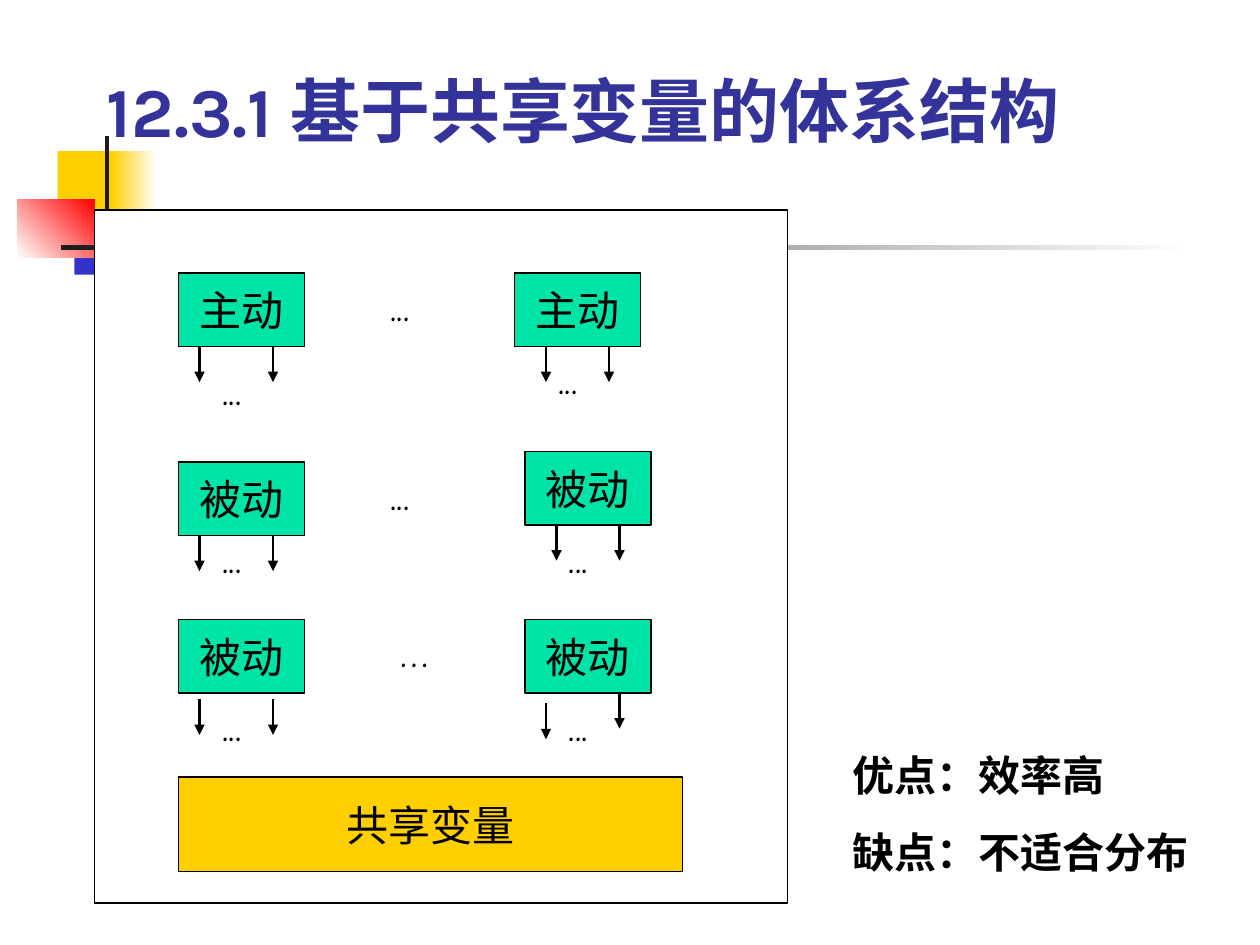
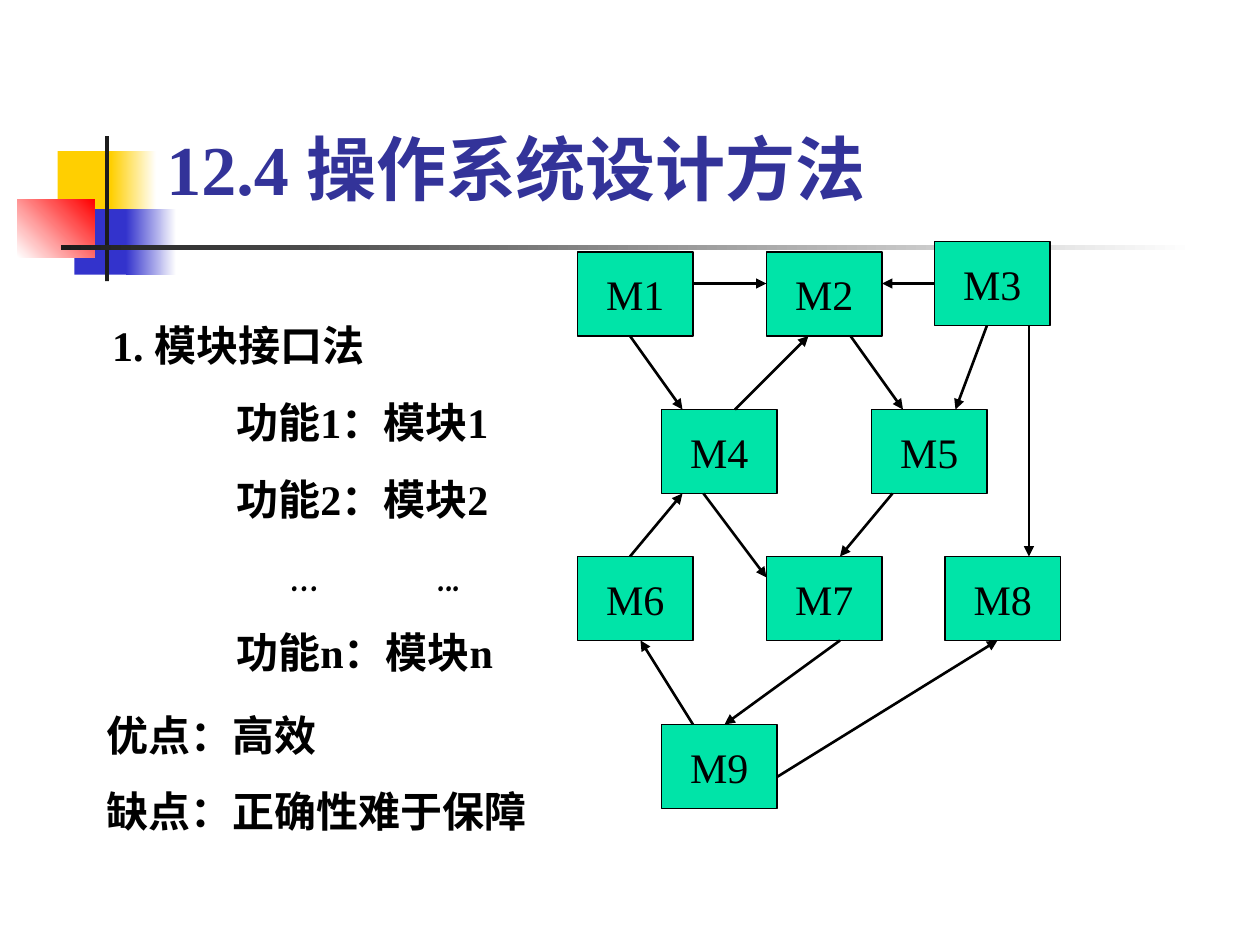
from dataclasses import dataclass

from lxml.etree import SubElement
from pptx import Presentation
from pptx.dml.color import RGBColor
from pptx.enum.shapes import MSO_CONNECTOR, MSO_SHAPE
from pptx.enum.text import MSO_ANCHOR, PP_ALIGN
from pptx.oxml.ns import qn
from pptx.shapes.autoshape import Shape
from pptx.slide import Slide
from pptx.text.text import TextFrame, _Paragraph
from pptx.util import Pt

COLORS = {
    "title": "333399", "ink": "000000", "paper": "FFFFFF", "bar": "1C1C1C",
    "yellow": "FFCF01", "blue": "3333CC", "red": "FF0000", "green": "00E4A8",
}
SERIF, SANS, COMIC = "Times New Roman", "Karla", "Comic Neue"
TITLE_SIZE, BODY_SIZE = 40, 24
LINE_GAP = 15
ARROW_LENGTH = 20.4
TASK_SIZE = (72, 42)
MODULE_SIZE = (66, 48)

Point = tuple[float, float]


@dataclass(frozen=True)
class Area:
    left: float
    top: float
    width: float
    height: float

    def lengths(self) -> list[Pt]:
        return [Pt(value) for value in (self.left, self.top, self.width, self.height)]


@dataclass(frozen=True)
class Ornament:
    area: Area
    start: str
    end: str = ""
    angle: float = 0


@dataclass(frozen=True)
class Task:
    label: str
    corner: Point
    arrow_starts: tuple[Point, Point]
    dots: Point


@dataclass(frozen=True)
class Line:
    text: str
    font: str = SERIF
    indent: float = 0
    tabs: tuple[float, ...] = ()


ORNAMENTS = (
    Ornament(Area(33, 86.4, 34.6, 37.4), "yellow"),
    Ornament(Area(63.4, 86.4, 25.9, 37.4), "yellow", "paper"),
    Ornament(Area(42.5, 119.5, 33.1, 37.4), "blue"),
    Ornament(Area(72, 119.5, 28.8, 37.4), "blue", "paper"),
    Ornament(Area(10, 113.8, 44, 33.1), "paper", "red", 45),
    Ornament(Area(60, 77.8, 2.3, 82.8), "bar"),
    Ornament(Area(34.8, 140.2, 648, 2.5), "bar", "paper"),
)

TASKS = (
    Task("主动", (102, 156), ((114, 198), (156, 198)), (120, 204)),
    Task("主动", (294, 156), ((312, 198), (348, 198)), (312, 198)),
    Task("被动", (102, 264), ((114, 306), (156, 306)), (120, 300)),
    Task("被动", (300, 258), ((318, 300), (354, 300)), (318, 300)),
    Task("被动", (102, 354), ((114, 399.6), (156, 399.6)), (120, 396)),
    Task("被动", (300, 354), ((312, 402), (354, 396)), (318, 396)),
)
ROW_DOTS = (("...", (216, 156)), ("...", (216, 264)), ("…", (222, 354)))

MODULES = {
    "M1": (330, 144), "M2": (438, 144), "M3": (534, 138),
    "M4": (378, 234), "M5": (498, 234),
    "M6": (330, 318), "M7": (438, 318), "M8": (540, 318),
    "M9": (378, 414),
}
CALLS = (
    ((396, 162), (438, 162)),  # M1 to M2
    ((534, 162), (504, 162)),  # M3 to M2
    ((360, 192), (390, 234)),  # M1 to M4
    ((420, 234), (462, 192)),  # M4 to M2
    ((486, 192), (516, 234)),  # M2 to M5
    ((564, 186), (546, 234)),  # M3 to M5
    ((588, 186), (588, 318)),  # M3 to M8
    ((360, 318), (390, 282)),  # M6 to M4
    ((402, 282), (438, 330)),  # M4 to M7
    ((510, 282), (480, 318)),  # M5 to M7
    ((480, 366), (414, 414)),  # M7 to M9
    ((396, 414), (366, 366)),  # M9 to M6
    ((444, 444), (570, 366)),  # M9 to M8
)


def color(name: str) -> RGBColor:
    return RGBColor.from_string(COLORS[name])


def add_span(para: _Paragraph, text: str, font: str = SERIF, size: float = BODY_SIZE,
             ink: str = "ink", bold: bool = False) -> None:
    span = para.add_run()
    span.text = text
    span.font.name = font
    span.font.size = Pt(size)
    span.font.bold = bold
    span.font.color.rgb = color(ink)


def add_rectangle(page: Slide, area: Area, fill: str, outlined: bool = True) -> Shape:
    box = page.shapes.add_shape(MSO_SHAPE.RECTANGLE, *area.lengths())
    box.shadow.inherit = False
    box.fill.solid()
    box.fill.fore_color.rgb = color(fill)
    if outlined:
        box.line.color.rgb = color("ink")
        box.line.width = Pt(0.75)
    else:
        box.line.fill.background()
    return box


def add_labelled_box(page: Slide, area: Area, label: str, fill: str = "green") -> None:
    box = add_rectangle(page, area, fill)
    box.text_frame.vertical_anchor = MSO_ANCHOR.MIDDLE
    para = box.text_frame.paragraphs[0]
    para.alignment = PP_ALIGN.CENTER
    add_span(para, label)


def add_text_frame(page: Slide, area: Area) -> TextFrame:
    frame = page.shapes.add_textbox(*area.lengths()).text_frame
    frame.word_wrap = True
    return frame


def add_dots(page: Slide, corner: Point, text: str = "...") -> None:
    frame = add_text_frame(page, Area(*corner, 54, 36))
    add_span(frame.paragraphs[0], text, COMIC)


def add_bold_lines(page: Slide, area: Area, lines: tuple[Line, ...]) -> None:
    frame = add_text_frame(page, area)
    for index, line in enumerate(lines):
        para = frame.add_paragraph() if index else frame.paragraphs[0]
        if index:
            para.space_before = Pt(LINE_GAP)
        properties = para._p.get_or_add_pPr()
        if line.indent:
            properties.set("marL", str(Pt(line.indent)))
        if line.tabs:
            stops = SubElement(properties, qn("a:tabLst"))
            for position in line.tabs:
                SubElement(stops, qn("a:tab"), pos=str(Pt(position)), algn="l")
        add_span(para, line.text, line.font, bold=True)


def add_arrow(page: Slide, start: Point, end: Point) -> None:
    ends = [Pt(value) for value in (*start, *end)]
    arrow = page.shapes.add_connector(MSO_CONNECTOR.STRAIGHT, *ends)
    arrow.line.color.rgb = color("ink")
    arrow.line.width = Pt(1.5)
    properties = arrow.element.spPr
    SubElement(properties.find(qn("a:ln")), qn("a:tailEnd"), type="triangle")
    SubElement(properties, qn("a:effectLst"))


def add_page(deck: Presentation, title: str, area: Area, font: str,
             anchor: MSO_ANCHOR) -> Slide:
    """Add a blank page with the shared ornaments and a title."""
    page = deck.slides.add_slide(deck.slide_layouts[6])
    for ornament in ORNAMENTS:
        box = add_rectangle(page, ornament.area, ornament.start, outlined=False)
        if ornament.end:
            box.fill.gradient()
            box.fill.gradient_angle = ornament.angle
            for stop, name in zip(box.fill.gradient_stops, (ornament.start, ornament.end)):
                stop.color.rgb = color(name)
    frame = add_text_frame(page, area)
    frame.vertical_anchor = anchor
    add_span(frame.paragraphs[0], title, font, TITLE_SIZE, "title", bold=True)
    return page


def build_shared_variable_page(deck: Presentation) -> None:
    page = add_page(deck, "12.3.1 基于共享变量的体系结构", Area(54, 24, 612, 66),
                    SANS, MSO_ANCHOR.BOTTOM)
    add_rectangle(page, Area(54, 120, 396, 396), "paper")
    for task in TASKS:
        add_labelled_box(page, Area(*task.corner, *TASK_SIZE), task.label)
        for x, y in task.arrow_starts:
            add_arrow(page, (x, y), (x, y + ARROW_LENGTH))
        add_dots(page, task.dots)
    for text, corner in ROW_DOTS:
        add_dots(page, corner, text)
    add_labelled_box(page, Area(102, 444, 288, 54), "共享变量", "yellow")
    add_bold_lines(page, Area(480, 424.8, 210, 80),
                   (Line("优点：效率高"), Line("缺点：不适合分布")))


def build_module_page(deck: Presentation) -> None:
    page = add_page(deck, "12.4 操作系统设计方法", Area(88, 65.5, 612, 60),
                    SERIF, MSO_ANCHOR.MIDDLE)
    add_bold_lines(page, Area(57, 179.3, 252, 269), (
        Line("1. 模块接口法"),
        Line("功能1：模块1", indent=71),
        Line("功能2：模块2", indent=71),
        Line("\t…\t...", COMIC, tabs=(102, 186)),
        Line("功能n：模块n", indent=71),
    ))
    for label, corner in MODULES.items():
        add_labelled_box(page, Area(*corner, *MODULE_SIZE), label)
    for start, end in CALLS:
        add_arrow(page, start, end)
    add_bold_lines(page, Area(54, 401.8, 276, 80),
                   (Line("优点：高效"), Line("缺点：正确性难于保障")))


def main() -> None:
    deck = Presentation()
    deck.slide_width, deck.slide_height = Pt(720), Pt(540)
    build_shared_variable_page(deck)
    build_module_page(deck)
    deck.save("out.pptx")


if __name__ == "__main__":
    main()
